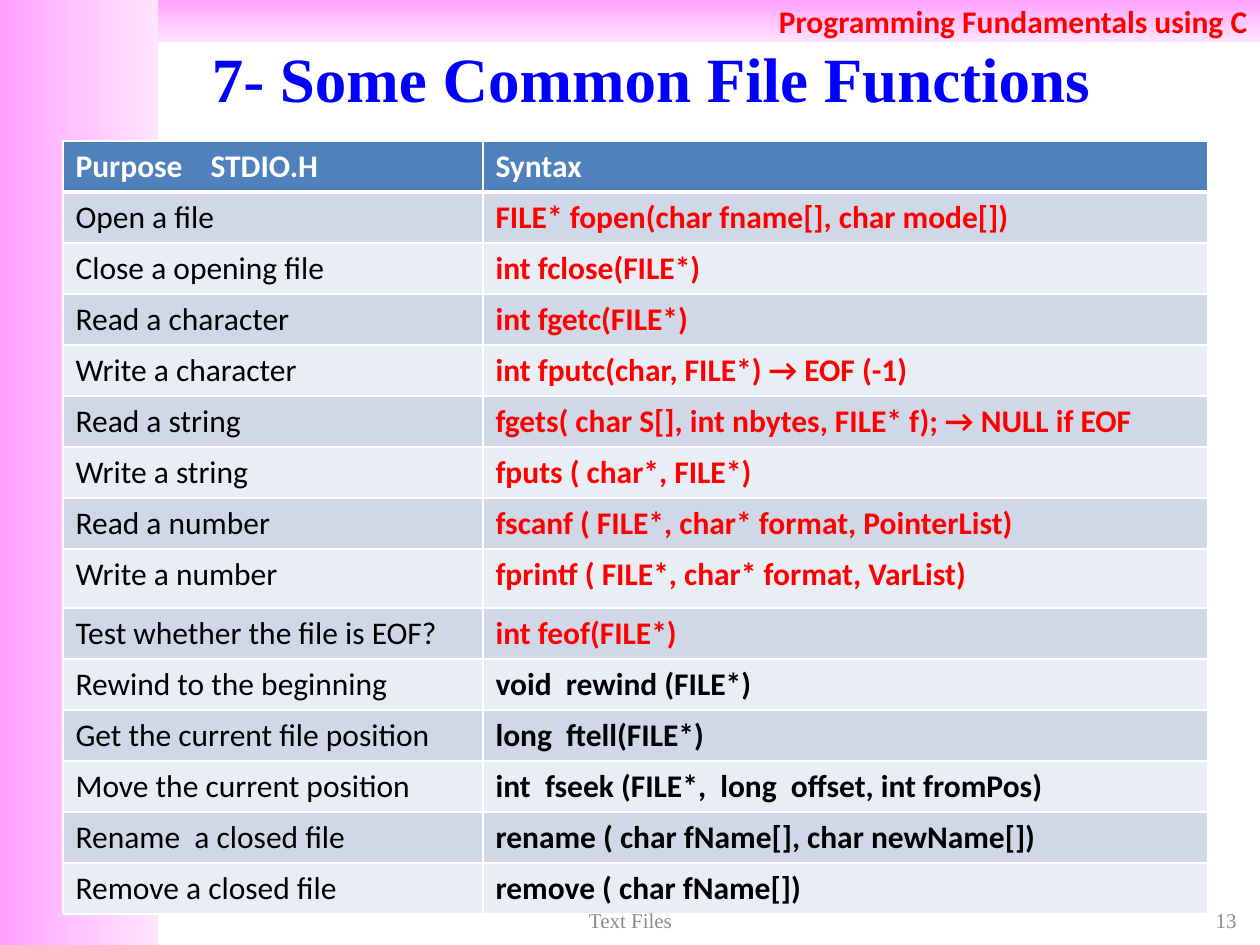
from dataclasses import dataclass

from lxml.etree import SubElement
from pptx import Presentation
from pptx.dml.color import RGBColor
from pptx.enum.shapes import MSO_SHAPE
from pptx.enum.text import MSO_ANCHOR, PP_ALIGN
from pptx.oxml.ns import qn
from pptx.util import Pt

HEADER = ("Purpose\tSTDIO.H", "Syntax")
COMMON_FUNCTIONS = [
    ("Open a file", "FILE* fopen(char fname[], char mode[])"),
    ("Close a opening file", "int fclose(FILE*)"),
    ("Read a character", "int fgetc(FILE*)"),
    ("Write a character", "int fputc(char, FILE*) → EOF (-1)"),
    ("Read a string", "fgets( char S[], int nbytes, FILE* f); → NULL if EOF"),
    ("Write a string", "fputs ( char*, FILE*)"),
    ("Read a number", "fscanf ( FILE*, char* format, PointerList)"),
    ("Write a number", "fprintf ( FILE*, char* format, VarList)"),
    ("Test whether the file is EOF?", "int feof(FILE*)"),
]
POSITION_AND_NAME_FUNCTIONS = [
    ("Rewind to the beginning", "void  rewind (FILE*)"),
    ("Get the current file position", "long  ftell(FILE*)"),
    ("Move the current position", "int  fseek (FILE*,  long  offset, int fromPos)"),
    ("Rename  a closed file", "rename ( char fName[], char newName[])"),
    ("Remove a closed file", "remove ( char fName[])"),
]

SLIDE_SIZE = (1260, 945)
SIDE_BAND = (0, 0, 158, 945)
TOP_BAND = (158, 0, 1102, 42)
TITLE_BOX = (105, 38, 1092, 78)
NUMBER_BOX = (955, 903, 294, 34)
FOOTER_BOX = (431, 903, 399, 34)
TABLE_ORIGIN = (63, 141)
COLUMN_WIDTHS = (420, 725)
ROW_HEIGHT, TALL_ROW_HEIGHT, TALL_ROW = 51, 59, 8
HEADER_TAB = 135


@dataclass(frozen=True)
class Theme:
    body_font: str = "Calibri"
    serif_font: str = "Times New Roman"
    title_size: int = 36
    body_size: int = 18
    footer_size: int = 12
    band: tuple = ("FFA0FF", "FFC5FF", "FFE3FF")
    rows: tuple = ("D0D8E8", "E9EDF4")
    header: str = "4F81BD"
    white: str = "FFFFFF"
    black: str = "000000"
    red: str = "FF0000"
    blue: str = "0000FF"
    gray: str = "8C8C8C"


THEME = Theme()


def px(length):
    return round(length * 914400 / 126)


def box(bounds):
    return [px(length) for length in bounds]


def write(frame, text, *, font=THEME.body_font, size=THEME.body_size,
          color=THEME.black, bold=False, align=PP_ALIGN.LEFT, tab=None):
    paragraph = frame.paragraphs[0]
    paragraph.alignment = align
    if tab:
        tabs = SubElement(paragraph._p.get_or_add_pPr(), qn("a:tabLst"))
        SubElement(tabs, qn("a:tab"), pos=str(px(tab)), algn="l")
    run = paragraph.add_run()
    run.text = text
    run.font.name, run.font.size, run.font.bold = font, Pt(size), bold
    run.font.color.rgb = RGBColor.from_string(color)


def add_text(slide, bounds, text, **text_format):
    frame = slide.shapes.add_textbox(*box(bounds)).text_frame
    frame.word_wrap = True
    frame.vertical_anchor = MSO_ANCHOR.MIDDLE
    write(frame, text, **text_format)


def add_band(slide, bounds, angle):
    """Add a three-stop gradient rectangle, with the angle clockwise."""
    shape = slide.shapes.add_shape(MSO_SHAPE.RECTANGLE, *box(bounds))
    shape.shadow.inherit = False
    shape.line.fill.background()
    shape.fill.gradient()
    gradient = shape._element.spPr.find(qn("a:gradFill"))
    stops = gradient.find(qn("a:gsLst"))
    for stop in list(stops):
        stops.remove(stop)
    for index, color in enumerate(THEME.band):
        stop = SubElement(stops, qn("a:gs"), pos=str(index * 50000))
        SubElement(stop, qn("a:srgbClr"), val=color)
    gradient.find(qn("a:lin")).set("ang", str(angle * 60000))
    return shape


def style_cell(cell, fill, top, bottom):
    """Set the borders, widths in points, and then the fill."""
    properties = cell._tc.get_or_add_tcPr()
    for side, width in (("L", 1), ("R", 1), ("T", top), ("B", bottom)):
        line = SubElement(properties, qn(f"a:ln{side}"), w=str(Pt(width)))
        SubElement(SubElement(line, qn("a:solidFill")), qn("a:srgbClr"), val=THEME.white)
    cell.fill.solid()
    cell.fill.fore_color.rgb = RGBColor.from_string(fill)


def add_function_table(slide):
    rows = [HEADER, *COMMON_FUNCTIONS, *POSITION_AND_NAME_FUNCTIONS]
    heights = [TALL_ROW_HEIGHT if index == TALL_ROW else ROW_HEIGHT
               for index in range(len(rows))]
    bounds = (*TABLE_ORIGIN, sum(COLUMN_WIDTHS), sum(heights))
    table = slide.shapes.add_table(len(rows), len(COLUMN_WIDTHS), *box(bounds)).table
    for column, width in zip(table.columns, COLUMN_WIDTHS):
        column.width = px(width)
    for row_index, (texts, height) in enumerate(zip(rows, heights)):
        table.rows[row_index].height = px(height)
        is_header = row_index == 0
        fill = THEME.header if is_header else THEME.rows[(row_index - 1) % 2]
        syntax_color = THEME.red if row_index <= len(COMMON_FUNCTIONS) else THEME.black
        colors = (THEME.white,) * 2 if is_header else (THEME.black, syntax_color)
        for column_index, (text, color) in enumerate(zip(texts, colors)):
            cell = table.cell(row_index, column_index)
            style_cell(cell, fill, top=3 if row_index == 1 else 1,
                       bottom=3 if is_header else 1)
            write(cell.text_frame, text, color=color,
                  bold=is_header or column_index == 1,
                  tab=HEADER_TAB if "\t" in text else None)


def main():
    presentation = Presentation()
    presentation.slide_width, presentation.slide_height = box(SLIDE_SIZE)
    slide = presentation.slides.add_slide(presentation.slide_layouts[6])

    add_band(slide, SIDE_BAND, angle=0)
    top_band = add_band(slide, TOP_BAND, angle=90)
    top_band.text_frame.vertical_anchor = MSO_ANCHOR.MIDDLE
    write(top_band.text_frame, "Programming Fundamentals using C",
          color=THEME.red, bold=True, align=PP_ALIGN.RIGHT)
    add_text(slide, TITLE_BOX, "7- Some Common File Functions", font=THEME.serif_font,
             size=THEME.title_size, color=THEME.blue, bold=True, align=PP_ALIGN.CENTER)
    add_function_table(slide)
    for bounds, text, align in ((NUMBER_BOX, "13", PP_ALIGN.RIGHT),
                                (FOOTER_BOX, "Text Files", PP_ALIGN.CENTER)):
        add_text(slide, bounds, text, font=THEME.serif_font, size=THEME.footer_size,
                 color=THEME.gray, align=align)

    presentation.save("out.pptx")


if __name__ == "__main__":
    main()
